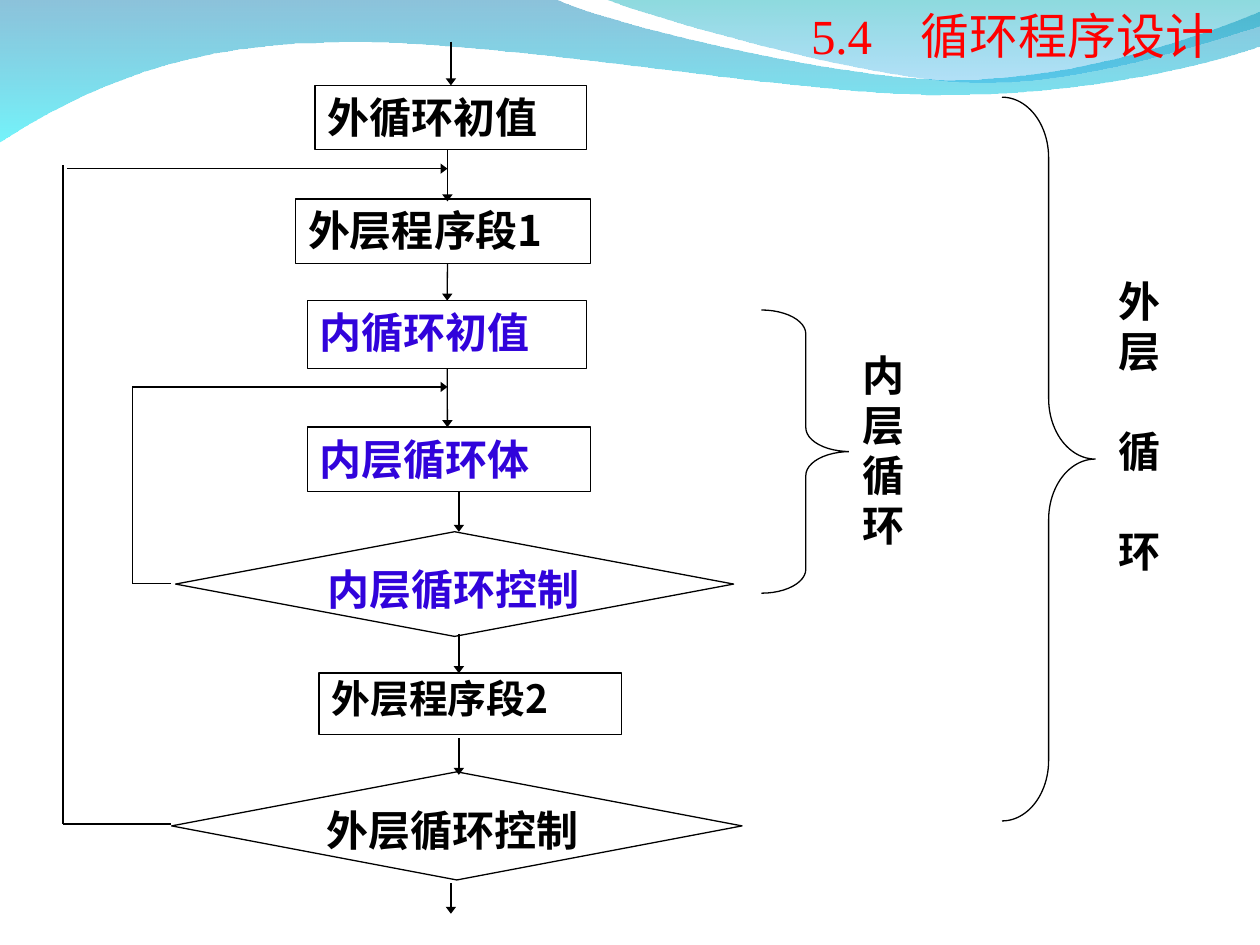
from dataclasses import dataclass
from typing import Optional

from lxml import etree
from pptx import Presentation
from pptx.dml import color
from pptx.enum import shapes, text
from pptx.oxml import ns
from pptx.util import Cm, Pt

BLACK = color.RGBColor(0x00, 0x00, 0x00)
WHITE = color.RGBColor(0xFF, 0xFF, 0xFF)
RED = color.RGBColor(0xFF, 0x00, 0x00)
INNER_BLUE = color.RGBColor(0x31, 0x03, 0xDB)
DEEP_BLUE = color.RGBColor(0x00, 0x79, 0xAF)
CYAN = color.RGBColor(0x00, 0xEB, 0xF8)
TEAL = color.RGBColor(0x00, 0xAD, 0xB6)
SKY_BLUE = color.RGBColor(0x00, 0x9B, 0xE5)

CJK_FONT = "Noto Sans CJK SC"
LATIN_FONT = "Times New Roman"
LINE_HEIGHT = 1.19
LINE_WIDTH = Pt(0.75)
RECTANGLE = shapes.MSO_SHAPE.RECTANGLE
DECISION = shapes.MSO_SHAPE.FLOWCHART_DECISION
TOP, BOTTOM = 0, 2


@dataclass
class Wave:
    """Segments hold one point for a line, three for a Bezier curve."""
    start: tuple
    segments: list
    stops: list


@dataclass
class Step:
    box: tuple
    lines: list
    font_color: color.RGBColor = BLACK
    kind: shapes.MSO_SHAPE = RECTANGLE
    outline: color.RGBColor = BLACK
    size: float = 24
    spacing: float = LINE_HEIGHT
    gap_before: tuple = ()


@dataclass
class Line:
    start: tuple
    end: tuple
    arrow: bool = True
    source: Optional[str] = None
    target: Optional[str] = None


@dataclass
class Brace:
    box: tuple
    curl: float


WAVES = [
    Wave((0, -0.03), [
        [(11.18, -0.03)],
        [(12.09, 0.43), (16.87, 1.6), (19.25, 1.6)],
        [(21.79, 1.6), (24.33, 0.66), (25.4, 0.23)],
        [(25.43, 0.91)],
        [(24.97, 1.12), (22.1, 1.93), (18.95, 1.91)],
        [(15.8, 1.91), (9.7, 0.71), (6.53, 0.86)],
        [(3.28, 0.89), (1.17, 2.11), (-0.03, 2.87)],
    ], [(DEEP_BLUE, 45), (CYAN, 55)]),
    Wave((12.17, -0.03), [
        [(12.93, 0.28), (17.32, 1.57), (19.53, 1.65)],
        [(21.74, 1.75), (24.41, 0.81), (25.4, 0.53)],
        [(25.4, 0)],
    ], [(TEAL, 45), (SKY_BLUE, 30)]),
]
BRACES = [Brace((20.2, 1.96, 1.88, 14.59), 0.65),
          Brace((15.35, 6.25, 1.79, 5.71), 0.27)]
STEPS = [
    Step((6.35, 1.72, 5.48, 1.3), ["外循环初值"]),
    Step((5.96, 4.01, 5.94, 1.3), ["外层程序段1"]),
    Step((6.2, 6.06, 5.63, 1.37), ["内循环初值"], INNER_BLUE),
    Step((6.2, 8.61, 5.7, 1.3), ["内层循环体"], INNER_BLUE),
    Step((3.54, 10.72, 11.25, 2.11), ["内层循环控制"], INNER_BLUE, DECISION),
    Step((6.43, 13.57, 6.1, 1.24), ["外层程序段2"], size=22.2,
         spacing=0.9 * LINE_HEIGHT),
    Step((3.46, 15.56, 11.5, 2.18), ["外层循环控制"], kind=DECISION),
    Step((17.13, 6.93, 1.96, 4.52), ["内", "层循环"], outline=WHITE),
    Step((22.3, 5.44, 2.03, 7.52), ["外", "层", "循", "环"], outline=WHITE,
         gap_before=("循", "环")),
]
LINES = [
    Line((9.09, 0.84), (9.09, 1.72), target="外循环初值"),
    Line((9.02, 3.02), (9.02, 4.06)),
    Line((9.02, 5.31), (9.02, 6.06), target="内循环初值"),
    Line((9.02, 7.43), (9.02, 8.61), source="内循环初值"),
    Line((9.25, 9.91), (9.25, 10.72)),
    Line((9.25, 12.78), (9.25, 13.57)),
    Line((9.25, 14.88), (9.25, 15.62)),
    Line((9.09, 17.81), (9.09, 18.42)),
    Line((3.45, 11.76), (2.67, 11.76), arrow=False),
    Line((2.67, 11.76), (2.67, 7.8), arrow=False),
    Line((2.67, 7.8), (9.02, 7.8)),
    Line((3.45, 16.61), (1.27, 16.61), arrow=False),
    Line((1.27, 16.61), (1.27, 3.33), arrow=False),
    Line((1.35, 3.4), (9.02, 3.4)),
]


def lengths(values: tuple) -> list:
    return [Cm(value) for value in values]


def bend_segments(shape, segments: list) -> None:
    """Turn the straight segments that have control points into Bezier curves."""
    for element, segment in zip(list(shape._element.iter(ns.qn("a:lnTo"))), segments):
        if len(segment) == 1:
            continue
        element.tag = ns.qn("a:cubicBezTo")
        for index, (x, y) in enumerate(segment[:-1]):
            control = etree.Element(ns.qn("a:pt"), x=str(Cm(x) - shape.left),
                                    y=str(Cm(y) - shape.top))
            element.insert(index, control)


def draw_wave(slide, wave: Wave) -> None:
    builder = slide.shapes.build_freeform(*lengths(wave.start))
    builder.add_line_segments([lengths(segment[-1]) for segment in wave.segments], close=True)
    shape = builder.convert_to_shape()
    bend_segments(shape, wave.segments)
    shape.shadow.inherit = False
    shape.line.fill.background()
    shape.fill.gradient()
    shape.fill.gradient_angle = 270
    for stop, (rgb, _) in zip(shape.fill.gradient_stops, wave.stops):
        stop.color.rgb = rgb
    for element, (_, opacity) in zip(shape._element.iter(ns.qn("a:srgbClr")), wave.stops):
        etree.SubElement(element, ns.qn("a:alpha"), val=str(opacity * 1000))


def draw_brace(slide, brace: Brace) -> None:
    shape = slide.shapes.add_shape(shapes.MSO_SHAPE.RIGHT_BRACE, *lengths(brace.box))
    shape.adjustments[0] = brace.curl
    shape.shadow.inherit = False
    shape.fill.background()
    shape.line.color.rgb = BLACK
    shape.line.width = LINE_WIDTH


def prepare_frame(frame) -> None:
    frame.word_wrap = True
    frame.vertical_anchor = text.MSO_ANCHOR.TOP
    frame.margin_left = frame.margin_right = Cm(0.25)
    frame.margin_top = frame.margin_bottom = Cm(0.13)


def style_run(run, size: float, rgb: color.RGBColor, latin: str, bold: bool) -> None:
    run.font.size = Pt(size)
    run.font.bold = bold
    run.font.color.rgb = rgb
    run.font.name = latin
    etree.SubElement(run.font._element, ns.qn("a:ea"), typeface=CJK_FONT)


def draw_step(slide, step: Step):
    shape = slide.shapes.add_shape(step.kind, *lengths(step.box))
    shape.shadow.inherit = False
    shape.fill.solid()
    shape.fill.fore_color.rgb = WHITE
    shape.line.color.rgb = step.outline
    shape.line.width = LINE_WIDTH
    prepare_frame(shape.text_frame)
    shape.text_frame.text = "\n".join(step.lines)
    for paragraph in shape.text_frame.paragraphs:
        paragraph.alignment = text.PP_ALIGN.JUSTIFY
        paragraph.line_spacing = Pt(step.size * step.spacing)
        if paragraph.text in step.gap_before:
            paragraph.space_before = Pt(step.size * step.spacing)
        style_run(paragraph.runs[0], step.size, step.font_color, CJK_FONT, True)
    return shape


def draw_line(slide, line: Line, steps: dict) -> None:
    connector = slide.shapes.add_connector(
        shapes.MSO_CONNECTOR.STRAIGHT, *lengths(line.start + line.end))
    if line.source:
        connector.begin_connect(steps[line.source], BOTTOM)
    if line.target:
        connector.end_connect(steps[line.target], TOP)
    connector.line.color.rgb = BLACK
    connector.line.width = LINE_WIDTH
    if line.arrow:
        etree.SubElement(connector.line._get_or_add_ln(), ns.qn("a:tailEnd"),
                         type="triangle", len="sm")
    etree.SubElement(connector._element.spPr, ns.qn("a:effectLst"))


def draw_title(slide) -> None:
    frame = slide.shapes.add_textbox(*lengths((16.1, 0, 8.81, 1.45))).text_frame
    prepare_frame(frame)
    frame.text = "5.4\t循环程序设计"
    paragraph = frame.paragraphs[0]
    paragraph.line_spacing = Pt(28 * LINE_HEIGHT)
    tabs = etree.SubElement(paragraph._p.get_or_add_pPr(), ns.qn("a:tabLst"))
    etree.SubElement(tabs, ns.qn("a:tab"), pos=str(Cm(2.21)), algn="l")
    style_run(paragraph.runs[0], 28, RED, LATIN_FONT, False)


def main() -> None:
    presentation = Presentation()
    presentation.slide_width, presentation.slide_height = Cm(25.4), Cm(19.05)
    slide = presentation.slides.add_slide(presentation.slide_layouts[6])
    for wave in WAVES:
        draw_wave(slide, wave)
    for brace in BRACES:
        draw_brace(slide, brace)
    steps = {step.lines[0]: draw_step(slide, step) for step in STEPS}
    for line in LINES:
        draw_line(slide, line, steps)
    draw_title(slide)
    presentation.save("out.pptx")


if __name__ == "__main__":
    main()
